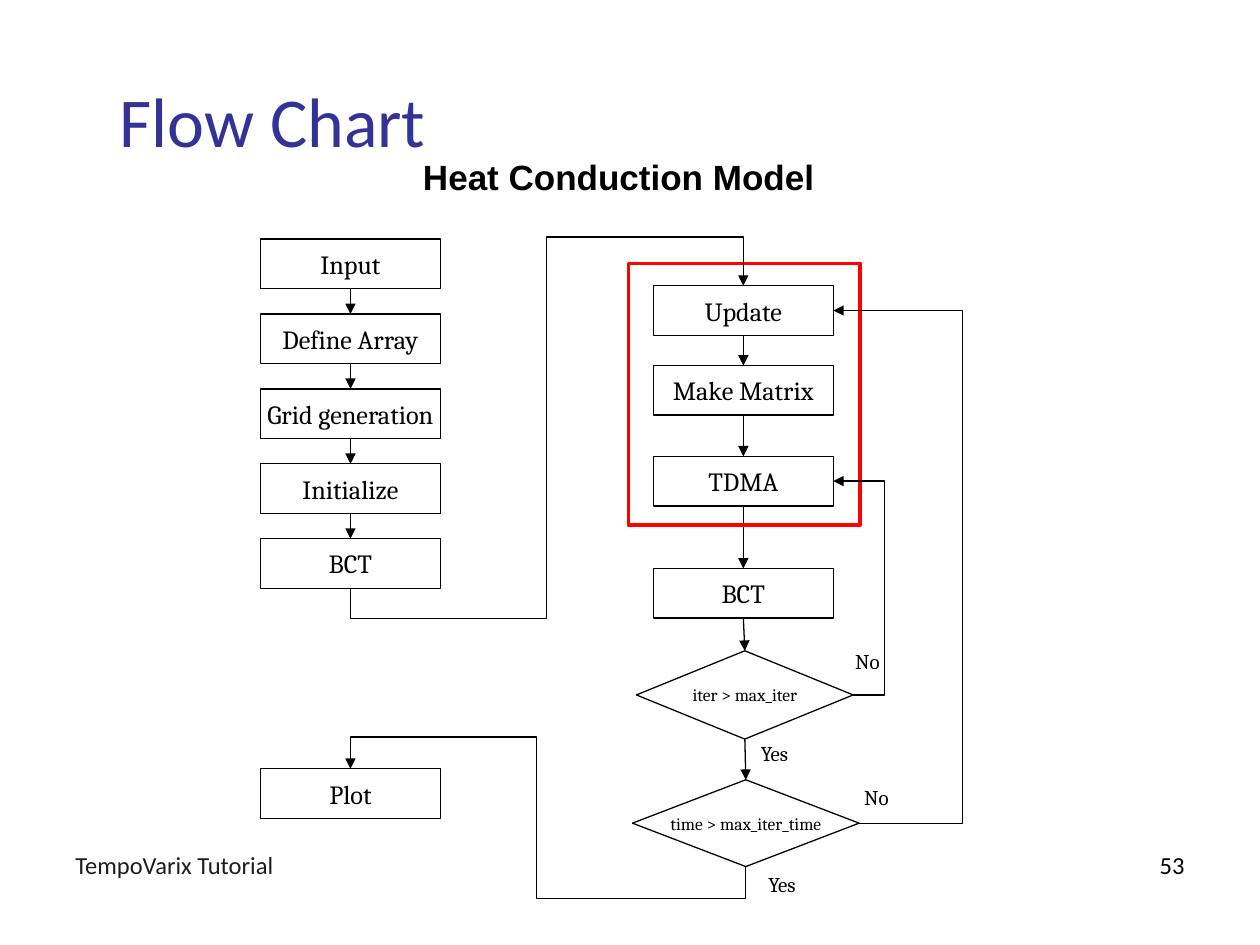
from collections import namedtuple

from pptx import Presentation
from pptx import util as u
from pptx.dml.color import RGBColor
from pptx.enum import shapes, text
from pptx.oxml import ns
from lxml import etree

BLACK = RGBColor(0x00, 0x00, 0x00)
RED = RGBColor(0xFF, 0x00, 0x00)
TITLE_BLUE = RGBColor(0x33, 0x33, 0x97)
FOOTER_GREY = RGBColor(0x1C, 0x1C, 0x1C)
TOP, LEFT, BOTTOM, RIGHT = range(4)
STEP_WIDTH, STEP_HEIGHT = 3.63, 1

Box = namedtuple("Box", "left top width height")


def lengths(values):
    """Turn numbers of centimetres into lengths."""
    return [u.Cm(value) for value in values]


def write_text(shape, content, *, size, font="Cambria", color=BLACK, bold=False,
               align=text.PP_ALIGN.LEFT, anchor=text.MSO_ANCHOR.TOP, wrap=True):
    """Put one formatted paragraph into a shape and return the paragraph."""
    frame = shape.text_frame
    frame.word_wrap = wrap
    frame.vertical_anchor = anchor
    paragraph = frame.paragraphs[0]
    paragraph.alignment = align
    run = paragraph.add_run()
    run.text = content
    run.font.size = u.Pt(size)
    run.font.name = font
    run.font.bold = bold
    run.font.color.rgb = color
    return paragraph


def add_label(slide, box, content, **style):
    """Add a text box holding one paragraph."""
    shape = slide.shapes.add_textbox(*lengths(box))
    return write_text(shape, content, **style)


def add_outline(slide, kind, box, color=BLACK, width=0.75):
    """Add an unfilled outlined shape."""
    shape = slide.shapes.add_shape(kind, *lengths(box))
    shape.shadow.inherit = False
    shape.fill.background()
    shape.line.color.rgb = color
    shape.line.width = u.Pt(width)
    return shape


def add_node(slide, box, content, kind=shapes.MSO_SHAPE.RECTANGLE, size=15):
    """Add a flow chart node with centred text."""
    shape = add_outline(slide, kind, box)
    write_text(shape, content, size=size, align=text.PP_ALIGN.CENTER,
               anchor=text.MSO_ANCHOR.MIDDLE, wrap=False)
    return shape


def add_arrow(slide, kind, start, end):
    """Add a thin black connector with an arrowhead at its end."""
    connector = slide.shapes.add_connector(kind, *lengths(start + end))
    connector.line.color.rgb = BLACK
    connector.line.width = u.Pt(0.75)
    line = connector.line._get_or_add_ln()
    etree.SubElement(line, ns.qn("a:tailEnd"), type="triangle")
    etree.SubElement(connector._element.spPr, ns.qn("a:effectLst"))
    return connector


def join_down(slide, upper, lower):
    """Join the bottom of one node to the top of the next."""
    arrow = add_arrow(slide, shapes.MSO_CONNECTOR.STRAIGHT, (0, 0), (1, 1))
    arrow.begin_connect(upper, BOTTOM)
    arrow.end_connect(lower, TOP)


def site(shape, side):
    """Return the middle of a shape's side in centimetres."""
    across, down = {TOP: (0.5, 0), LEFT: (0, 0.5),
                    BOTTOM: (0.5, 1), RIGHT: (1, 0.5)}[side]
    return (u.Emu(int(shape.left + shape.width * across)).cm,
            u.Emu(int(shape.top + shape.height * down)).cm)


def bend(connector, preset, fractions):
    """Set the elbow preset and the places of its bends."""
    geometry = connector._element.spPr.find(ns.qn("a:prstGeom"))
    geometry.set("prst", preset)
    guides = geometry.find(ns.qn("a:avLst"))
    if guides is None:
        guides = etree.SubElement(geometry, ns.qn("a:avLst"))
    for number, fraction in enumerate(fractions, 1):
        etree.SubElement(guides, ns.qn("a:gd"), name=f"adj{number}",
                         fmla=f"val {round(fraction * 100000)}")


def loop_right(slide, source, target, turn):
    """Lead from one right side back to another by way of x = turn."""
    start, end = site(source, RIGHT), site(target, RIGHT)
    arrow = add_arrow(slide, shapes.MSO_CONNECTOR.ELBOW, start, end)
    bend(arrow, "bentConnector3", [(turn - start[0]) / (end[0] - start[0])])


def climb(slide, source, target, low, middle, high):
    """Lead from a bottom side up to a top side through three turns."""
    (x1, y1), (x2, y2) = site(source, BOTTOM), site(target, TOP)
    center_x, center_y = (x1 + x2) / 2, (y1 + y2) / 2
    half_x, half_y = (x1 - x2) / 2, (y1 - y2) / 2
    arrow = add_arrow(slide, shapes.MSO_CONNECTOR.ELBOW,
                      (center_x - half_y, center_y + half_x),
                      (center_x + half_y, center_y - half_x))
    arrow._element.spPr.find(ns.qn("a:xfrm")).set("rot", "16200000")
    bend(arrow, "bentConnector5", [(low - y1) / (y2 - y1),
                                   (middle - x1) / (x2 - x1),
                                   (high - y1) / (y2 - y1)])


def add_steps(slide, box, steps):
    """Stack steps at offsets from the top of the box and join them."""
    nodes = [add_node(slide, (box.left, box.top + offset, STEP_WIDTH, STEP_HEIGHT), name)
             for name, offset in steps]
    for upper, lower in zip(nodes, nodes[1:]):
        join_down(slide, upper, lower)
    return nodes


def add_setup(slide, box):
    """Draw the setup column and return its last step and the plot step."""
    names = ["Input", "Define Array", "Grid generation", "Initialize", "BCT"]
    nodes = add_steps(slide, box, [(name, 1.51 * row) for row, name in enumerate(names)])
    plot = add_node(slide, (box.left, box.top + box.height - STEP_HEIGHT,
                            STEP_WIDTH, STEP_HEIGHT), "Plot")
    return nodes[-1], plot


def add_solver(slide, box):
    """Draw the solver column and return its first step and last decision."""
    steps = [("Update", 0), ("Make Matrix", 1.61), ("TDMA", 3.44), ("BCT", 5.7)]
    nodes = add_steps(slide, box, steps)
    diamond = shapes.MSO_SHAPE.DIAMOND
    iteration = add_node(slide, (box.left - 0.34, box.top + 7.36, 4.37, 1.78),
                         "iter > max_iter", diamond, 10)
    time = add_node(slide, (box.left - 0.42, box.top + 9.96, 4.57, 1.75),
                    "time > max_iter_time", diamond, 10)
    join_down(slide, nodes[-1], iteration)
    join_down(slide, iteration, time)
    add_outline(slide, shapes.MSO_SHAPE.RECTANGLE,
                (box.left - 0.5, box.top - 0.45, 4.67, 5.28), RED, 2)
    loop_right(slide, iteration, nodes[2], box.left + 4.66)
    loop_right(slide, time, nodes[0], box.left + 6.24)
    for answer, x, y in [("Yes", 1.92, 9.05), ("Yes", 2.07, 11.69),
                         ("No", 3.82, 7.19), ("No", 4, 9.94)]:
        add_label(slide, (box.left + x, box.top + y, 1.1, 0.76), answer,
                  size=12, wrap=False)
    return nodes[0], time


def add_heading(slide, box):
    """Place the title and the line under it."""
    title = slide.shapes.title
    title.left, title.top, title.width, title.height = lengths(
        (box.left, box.top, box.width, 1.78))
    title.text_frame.margin_left = u.Cm(1.14)
    write_text(title, "Flow Chart", size=40, font="Calibri", color=TITLE_BLUE,
               anchor=text.MSO_ANCHOR.MIDDLE)
    subtitle = add_label(slide, (box.left - 0.86, box.top + 1.65, 24.13, 1.14),
                         "Heat Conduction Model", size=20, font="Arial", bold=True,
                         align=text.PP_ALIGN.CENTER)
    subtitle.line_spacing = 0.8
    subtitle.space_before = u.Pt(4)


def add_footer(slide, box):
    """Place the tutorial name and the page number."""
    style = {"size": 14, "font": "Calibri", "anchor": text.MSO_ANCHOR.BOTTOM}
    name_width = 17.58
    add_label(slide, (box.left, box.top, name_width, box.height),
              "TempoVarix Tutorial", color=FOOTER_GREY, **style)
    add_label(slide, (box.left + name_width, box.top, box.width - name_width, box.height),
              "53", align=text.PP_ALIGN.RIGHT, **style)


def main():
    """Build and save the flow chart slide."""
    presentation = Presentation()
    presentation.slide_width, presentation.slide_height = lengths((25.4, 19.05))
    slide = presentation.slides.add_slide(presentation.slide_layouts[5])
    add_heading(slide, Box(1.27, 1.52, 22.86, 2.79))
    boundary, plot = add_setup(slide, Box(5.25, 4.82, STEP_WIDTH, 11.68))
    update, time = add_solver(slide, Box(13.17, 5.76, 6.24, 12.45))
    climb(slide, boundary, update, 12.47, 11.02, 4.78)
    climb(slide, time, plot, 18.11, 10.82, 14.86)
    add_footer(slide, Box(1.27, 16.59, 22.86, 1.27))
    presentation.save("out.pptx")


if __name__ == "__main__":
    main()
